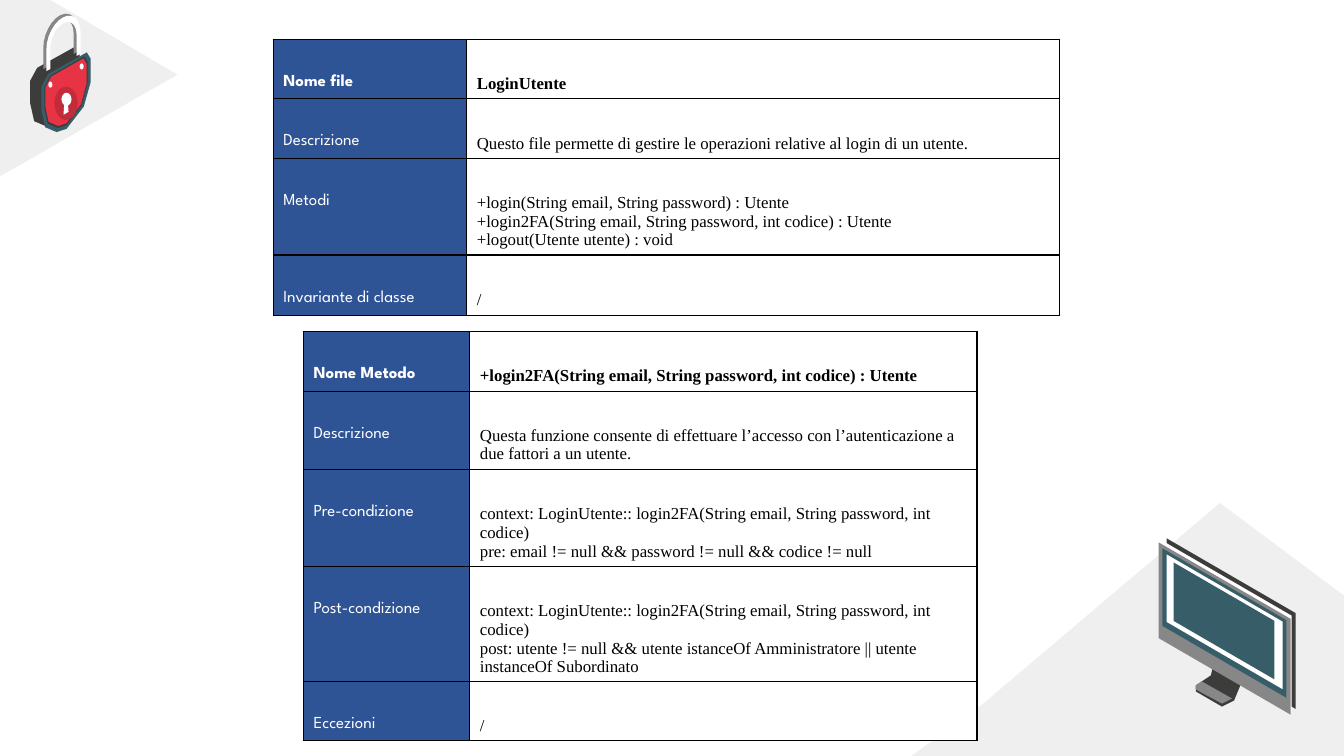
import math

from lxml import etree
from pptx import Presentation
from pptx import util as u
from pptx.dml.color import RGBColor
from pptx.enum import shapes, text
from pptx.oxml.ns import qn

COLORS = {"label": "2F5496", "white": "FFFFFF", "black": "000000", "gray": "878787",
          "dark": "3C3C3B", "teal": "375D68", "red": "E83345", "deep red": "C22B3A"}
LABEL_FONT, BODY_FONT = "League Spartan", "Times New Roman"

FILE_ROWS = [
    (0.59, "Nome file", ["LoginUtente"]),
    (0.59, "Descrizione",
     ["Questo file permette di gestire le operazioni relative al login di un utente."]),
    (0.96, "Metodi", ["+login(String email, String password) : Utente",
                      "+login2FA(String email, String password, int codice) : Utente",
                      "+logout(Utente utente) : void"]),
    (0.6, "Invariante di classe", ["/"]),
]
CONTEXT = "context: LoginUtente:: login2FA(String email, String password, int codice)"
METHOD_ROWS = [
    (0.59, "Nome Metodo", ["+login2FA(String email, String password, int codice) : Utente"]),
    (0.78, "Descrizione", ["Questa funzione consente di effettuare l’accesso con "
                           "l’autenticazione a due fattori a un utente."]),
    (0.96, "Pre-condizione",
     [CONTEXT, "pre: email != null && password != null && codice != null"]),
    (1.14, "Post-condizione",
     [CONTEXT, "post: utente != null && utente istanceOf Amministratore || "
               "utente instanceOf Subordinato"]),
    (0.59, "Eccezioni", ["/"]),
]

LOCK_BODY = [(0.92, 0), (1, 0.08), (1, 0.37), (0.86, 0.68), (0.51, 0.96), (0.31, 1),
             (0.08, 0.94), (0, 0.72), (0, 0.43), (0.14, 0.27)]  # shares of width and height


def slanted_panel(left, top, width, height):
    drop = 0.58 * width
    return [(left, top), (left + width, top + drop),
            (left + width, top + drop + height), (left, top + height)]


def shackle(center, base):
    """Outline of a slanted arch standing on two legs."""
    def side(radius, rise):
        turns = [math.pi * n / 12 for n in range(13)]
        arc = [(-radius * math.cos(t), -0.21 - rise * math.sin(t)) for t in turns]
        flat = [(-radius, 0)] + arc + [(radius, 0)]
        return [(center + x, base + y - x / 2) for x, y in flat]
    return side(0.17, 0.24) + side(0.13, 0.18)[::-1]


class Page:
    def __init__(self, deck):
        self.slide = deck.slides.add_slide(deck.slide_layouts[6])

    def paint(self, shape, color):
        shape.shadow.inherit = False
        shape.line.fill.background()
        shape.fill.solid()
        shape.fill.fore_color.rgb = RGBColor.from_string(COLORS[color])
        return shape

    def outline(self, color, points):
        corners = [(u.Inches(x), u.Inches(y)) for x, y in points]
        builder = self.slide.shapes.build_freeform(*corners[0])
        builder.add_line_segments(corners[1:], close=True)
        return self.paint(builder.convert_to_shape(), color)

    def oval(self, color, *place):
        box = map(u.Inches, place)
        self.paint(self.slide.shapes.add_shape(shapes.MSO_SHAPE.OVAL, *box), color)

    def backdrop(self, points):
        shape = self.outline("gray", points)
        tint = shape._element.spPr.find(".//" + qn("a:srgbClr"))
        etree.SubElement(tint, qn("a:alpha"), val="13000")

    def cell(self, cell, lines, font, color, fill, bold):
        properties = cell._tc.get_or_add_tcPr()
        for side in ("lnL", "lnR", "lnT", "lnB"):
            line = etree.SubElement(properties, qn("a:" + side), w=str(u.Pt(1)))
            solid = etree.SubElement(line, qn("a:solidFill"))
            etree.SubElement(solid, qn("a:srgbClr"), val=COLORS["black"])
        cell.fill.solid()
        cell.fill.fore_color.rgb = RGBColor.from_string(COLORS[fill])
        cell.margin_top = u.Inches(0.35)
        cell.vertical_anchor = text.MSO_ANCHOR.TOP
        cell.text = "\n".join(lines)
        for para in cell.text_frame.paragraphs:
            para.font.name, para.font.size, para.font.bold = font, u.Pt(12), bold
            para.font.color.rgb = RGBColor.from_string(COLORS[color])

    def table(self, left, top, widths, rows):
        height = sum(row[0] for row in rows)
        table = self.slide.shapes.add_table(len(rows), 2, u.Inches(left), u.Inches(top),
                                            u.Inches(sum(widths)), u.Inches(height)).table
        table.first_row = table.horz_banding = False
        for column, width in zip(table.columns, widths):
            column.width = u.Inches(width)
        for i, (row_height, label, lines) in enumerate(rows):
            table.rows[i].height = u.Inches(row_height)
            self.cell(table.cell(i, 0), [label], LABEL_FONT, "white", "label", i == 0)
            self.cell(table.cell(i, 1), lines, BODY_FONT, "black", "white", i == 0)

    def monitor(self):
        self.outline("dark", [(12.04, 6.57), (12.18, 6.57), (12.31, 6.78), (12.24, 6.95),
                              (12.12, 7.01), (11.86, 6.86), (11.86, 6.8), (12.01, 6.7)])
        self.outline("gray", [(11.92, 6.76), (12.22, 6.93), (12.12, 6.98), (11.86, 6.84),
                              (11.86, 6.8)])
        for color, *place in [("dark", 11.57, 5.34, 1.28, 0.95), ("white", 11.52, 5.36, 1.29, 0.95),
                              ("gray", 11.49, 5.38, 1.31, 0.95), ("teal", 11.53, 5.44, 1.23, 0.77),
                              ("white", 11.57, 5.5, 1.15, 0.67), ("teal", 11.64, 5.58, 1, 0.58)]:
            self.outline(color, slanted_panel(*place))

    def lock(self):
        for color, left, top, width, height in [
                ("dark", 0.3, 0.46, 0.49, 0.79), ("teal", 0.41, 0.52, 0.49, 0.79),
                ("dark", 0.44, 0.56, 0.43, 0.71), ("red", 0.45, 0.58, 0.41, 0.67)]:
            self.outline(color, [(left + x * width, top + y * height) for x, y in LOCK_BODY])
        self.oval("deep red", 0.54, 0.86, 0.23, 0.33)
        self.oval("white", 0.61, 0.92, 0.1, 0.13)
        for left, top in [(0.79, 0.63), (0.48, 0.81)]:
            self.oval("white", left, top, 0.04, 0.06)
        self.outline("white", [(0.67, 0.98), (0.68, 1.11), (0.63, 1.14), (0.64, 0.99)])
        self.outline("gray", shackle(0.6, 0.6))
        self.outline("white", shackle(0.63, 0.62))


deck = Presentation()
deck.slide_width, deck.slide_height = u.Inches(13.33), u.Inches(7.5)
page = Page(deck)
page.backdrop([(9.04, 7.5), (9.74, 6.99), (12.1, 4.99), (13.33, 5.91), (13.33, 7.5)])
page.backdrop([(0, 1.75), (1.76, 0.74), (0.5, 0), (0, 0)])
page.table(2.71, 0.39, (1.92, 5.88), FILE_ROWS)
page.table(3.01, 3.29, (1.65, 5.03), METHOD_ROWS)
page.monitor()
page.lock()
deck.save("out.pptx")
